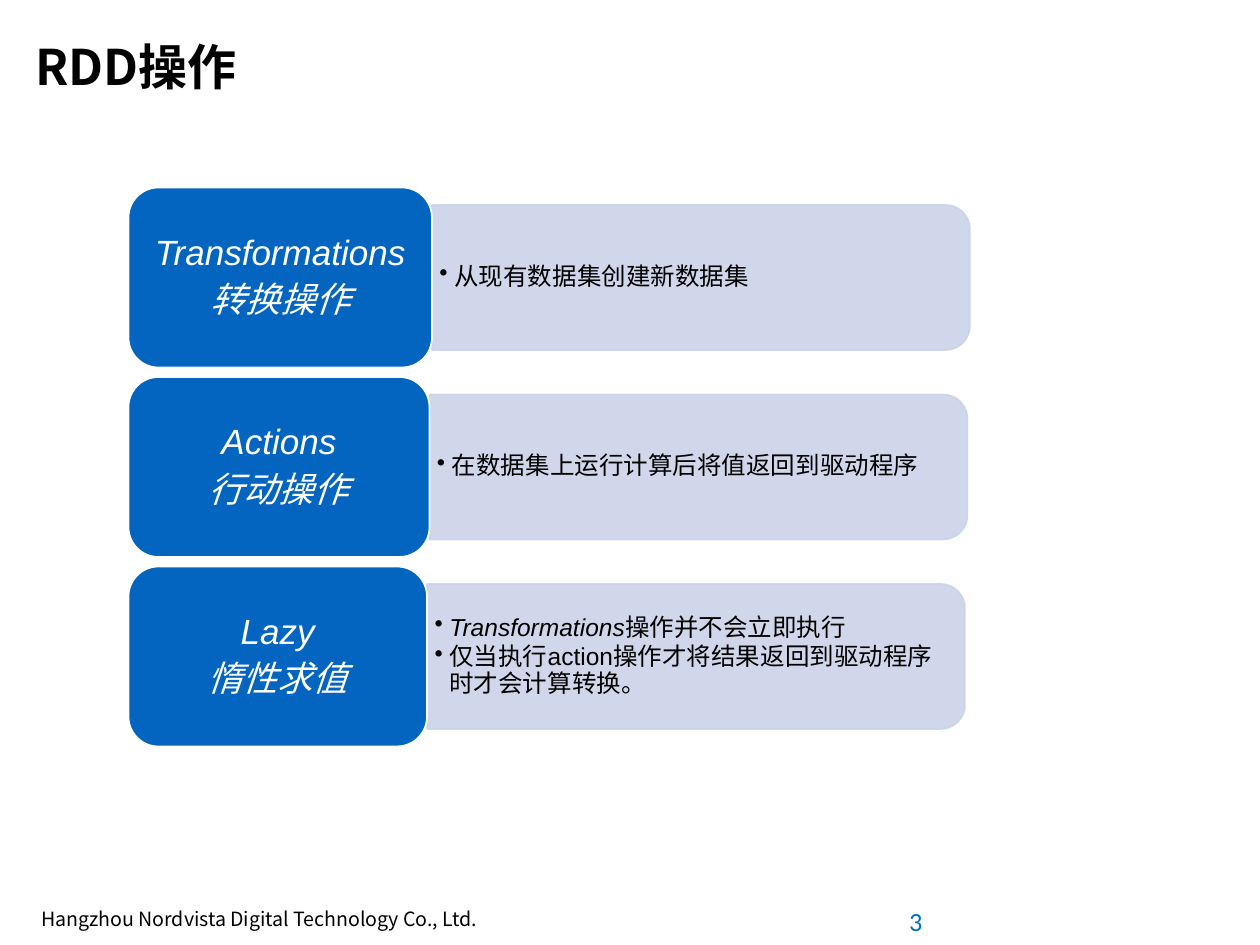
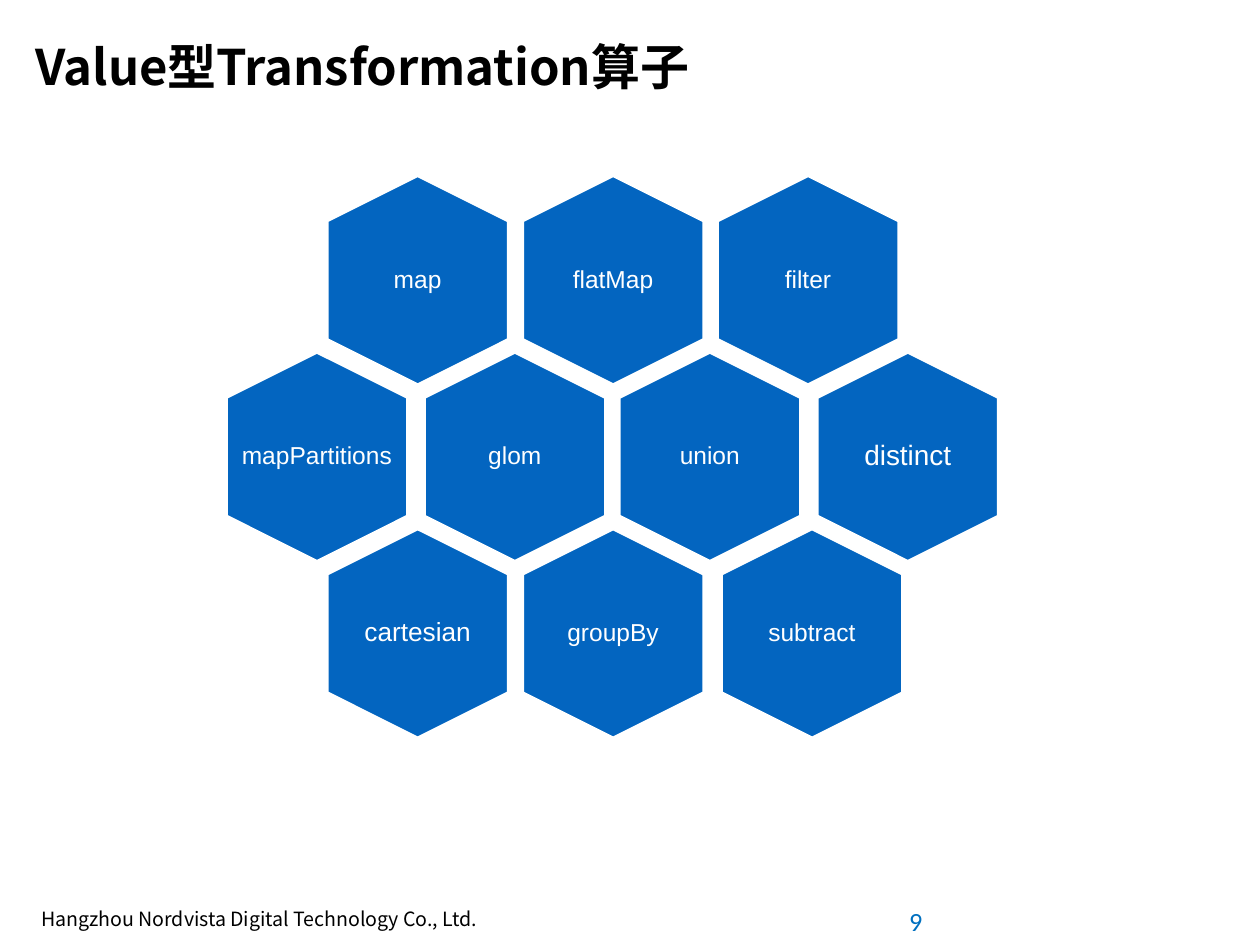
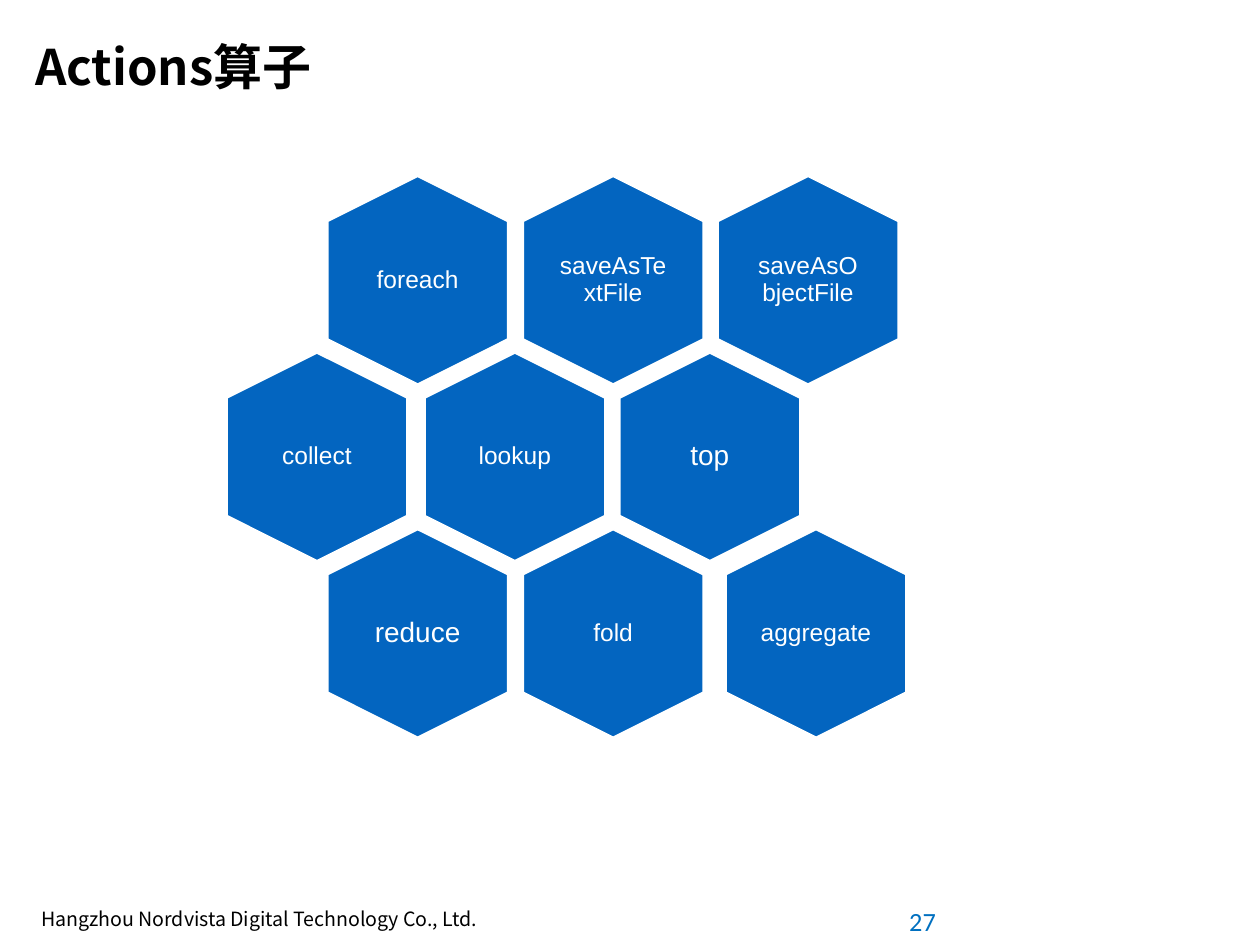
from lxml import etree
from pptx import Presentation
from pptx.dml.color import RGBColor
from pptx.enum.shapes import MSO_SHAPE
from pptx.enum.text import MSO_ANCHOR, PP_ALIGN
from pptx.oxml.ns import qn
from pptx.util import Cm, Pt

ROUNDED = MSO_SHAPE.ROUNDED_RECTANGLE
TAB = MSO_SHAPE.ROUND_2_SAME_RECTANGLE
HEXAGON = MSO_SHAPE.HEXAGON
TOP, MIDDLE = MSO_ANCHOR.TOP, MSO_ANCHOR.MIDDLE
LEFT, CENTER = PP_ALIGN.LEFT, PP_ALIGN.CENTER

BLACK, WHITE = "000000", "FFFFFF"
BLUE, PALE, PAGE_BLUE = "0365C0", "CCD3E8", "0070C0"
SANS, BODY, NUMBER = "Noto Sans CJK SC", "Arial", "Calibri"
COMPANY = "Hangzhou Nordvista Digital Technology Co., Ltd."

CARD_LEFT, CARD_TOP, CARD_HEIGHT, CARD_STEP = 2.59, 3.78, 3.63, 3.82
PANEL_WIDTH, PANEL_HEIGHT, BULLETS_HEIGHT = 10.84, 2.92, 2.62
HEX_WIDTH, HEX_HEIGHT = 3.63, 4.19
HEX_TOP_CENTER, HEX_ROW_STEP = 5.65, 3.56
LABEL_WIDTH, LABEL_HEIGHT = 2.51, 2.87
OUTER_ROW = [8.42, 12.36, 16.29]
MIDDLE_ROW = [6.39, 10.38, 14.31, 18.3]
WIDE_LABELS = {"mapPartitions", "distinct", "collect", "aggregate"}
LABEL_SIZES = {"cartesian": 15, "distinct": 16, "top": 16, "reduce": 16}

OPERATIONS = [
    ("Transformations", "转换操作", 6.12, [[("从现有数据集创建新数据集", False)]]),
    ("Actions", "行动操作", 6.07, [[("在数据集上运行计算后将值返回到驱动程序", False)]]),
    ("Lazy", "惰性求值", 6.02, [
        [("Transformations", True), ("操作并不会立即执行", False)],
        [("仅当执行action操作才将结果返回到驱动程序时才会计算转换。", False)],
    ]),
]

OPERATORS = [
    ("Value型Transformation算子", 9, 16.37, [
        ["map", "flatMap", "filter"],
        ["mapPartitions", "glom", "union", "distinct"],
        ["cartesian", "groupBy", "subtract"],
    ]),
    ("Actions算子", 27, 16.45, [
        ["foreach", "saveAsTextFile", "saveAsObjectFile"],
        ["collect", "lookup", "top"],
        ["reduce", "fold", "aggregate"],
    ]),
]


def rgb(value):
    return RGBColor.from_string(value)


class Deck:
    def __init__(self):
        self.presentation = Presentation()
        self.presentation.slide_width = Cm(25.4)
        self.presentation.slide_height = Cm(19.05)
        self.slide = None

    def page(self, title, number):
        self.slide = self.presentation.slides.add_slide(self.presentation.slide_layouts[6])
        self.text(0.84, 18.29, 10.59, 0.58, [[(COMPANY, False)]], 11.2, SANS)
        self.text(18.08, 18.11, 1.14, 0.89, [[(str(number), False)]], 15, NUMBER,
                  PAGE_BLUE, insets=(0.25, 0.13))
        self.text(0.71, 0.66, 17.55, 1.32, [[(title, False)]], 28, SANS,
                  bold=True, anchor=MIDDLE)

    def fill_text(self, holder, paragraphs, size, font=BODY, color=BLACK, bold=False,
                  align=LEFT, anchor=TOP, insets=(0, 0), spacing=None, after=0,
                  bullets=False):
        frame = holder.text_frame
        frame.word_wrap = True
        frame.vertical_anchor = anchor
        frame.margin_left = frame.margin_right = Cm(insets[0])
        frame.margin_top = frame.margin_bottom = Cm(insets[1])
        for index, pieces in enumerate(paragraphs):
            paragraph = frame.add_paragraph() if index else frame.paragraphs[0]
            paragraph.alignment = align
            paragraph.line_spacing = spacing
            paragraph.space_after = Pt(after)
            if bullets:
                self.bullet(paragraph)
            for words, italic in pieces:
                run = paragraph.add_run()
                run.text = words
                run.font.name = font
                run.font.size = Pt(size)
                run.font.bold = bold
                run.font.italic = italic
                run.font.color.rgb = rgb(color)
                east_asian = etree.SubElement(run.font._element, qn("a:ea"))
                east_asian.set("typeface", SANS)

    def bullet(self, paragraph):
        properties = paragraph._p.get_or_add_pPr()
        properties.set("marL", str(Cm(0.3)))
        properties.set("indent", str(-Cm(0.3)))
        etree.SubElement(properties, qn("a:buChar")).set("char", "•")

    def text(self, left, top, width, height, paragraphs, size, *style, **options):
        box = self.slide.shapes.add_textbox(Cm(left), Cm(top), Cm(width), Cm(height))
        self.fill_text(box, paragraphs, size, *style, **options)

    def shape(self, preset, left, top, width, height, fill, line):
        shape = self.slide.shapes.add_shape(preset, Cm(left), Cm(top), Cm(width), Cm(height))
        shape.shadow.inherit = False
        shape.fill.solid()
        shape.fill.fore_color.rgb = rgb(fill)
        shape.line.color.rgb = rgb(line)
        shape.line.width = Pt(1)
        return shape

    def turned(self, preset, center_x, center_y, width, height, fill, line):
        shape = self.shape(preset, center_x - height / 2, center_y - width / 2,
                           height, width, fill, line)
        shape.rotation = 90
        return shape

    def panel(self, left, center_y):
        panel = self.turned(TAB, left + PANEL_WIDTH / 2, center_y,
                            PANEL_WIDTH, PANEL_HEIGHT, PALE, PALE)
        for color in panel._element.spPr.iter(qn("a:srgbClr")):
            etree.SubElement(color, qn("a:alpha")).set("val", "90000")

    def operation(self, row, name, translation, width, points):
        top = CARD_TOP + row * CARD_STEP
        center_y = top + CARD_HEIGHT / 2
        right = CARD_LEFT + width
        self.panel(right, center_y)
        self.text(right, center_y - BULLETS_HEIGHT / 2, PANEL_WIDTH - 0.15, BULLETS_HEIGHT,
                  points, 14, anchor=MIDDLE, insets=(0.15, 0.08), spacing=0.9,
                  after=1.7, bullets=True)
        card = self.shape(ROUNDED, CARD_LEFT, top, width, CARD_HEIGHT, BLUE, WHITE)
        self.fill_text(card, [[(name, True)], [(translation, True)]], 20, color=WHITE,
                       align=CENTER, anchor=MIDDLE, insets=(0.2, 0.1), spacing=0.9,
                       after=5.6)

    def operator(self, label, center_x, center_y):
        hexagon = self.turned(HEXAGON, center_x, center_y, HEX_WIDTH, HEX_HEIGHT, BLUE, WHITE)
        hexagon.adjustments[0] = 0.25
        width = HEX_WIDTH if label in WIDE_LABELS else LABEL_WIDTH
        self.text(center_x - width / 2, center_y - LABEL_HEIGHT / 2, width, LABEL_HEIGHT,
                  [[(label, False)]], LABEL_SIZES.get(label, 14), color=WHITE, align=CENTER,
                  anchor=MIDDLE, insets=(0.15, 0.15), spacing=0.9, after=4)


def main():
    deck = Deck()
    deck.page("RDD操作", 3)
    for row, operation in enumerate(OPERATIONS):
        deck.operation(row, *operation)

    for title, number, last_center, label_rows in OPERATORS:
        deck.page(title, number)
        centers = [OUTER_ROW, MIDDLE_ROW, OUTER_ROW[:2] + [last_center]]
        for row, (labels, row_centers) in enumerate(zip(label_rows, centers)):
            for label, center_x in zip(labels, row_centers):
                deck.operator(label, center_x, HEX_TOP_CENTER + row * HEX_ROW_STEP)

    deck.presentation.save("out.pptx")


if __name__ == "__main__":
    main()
